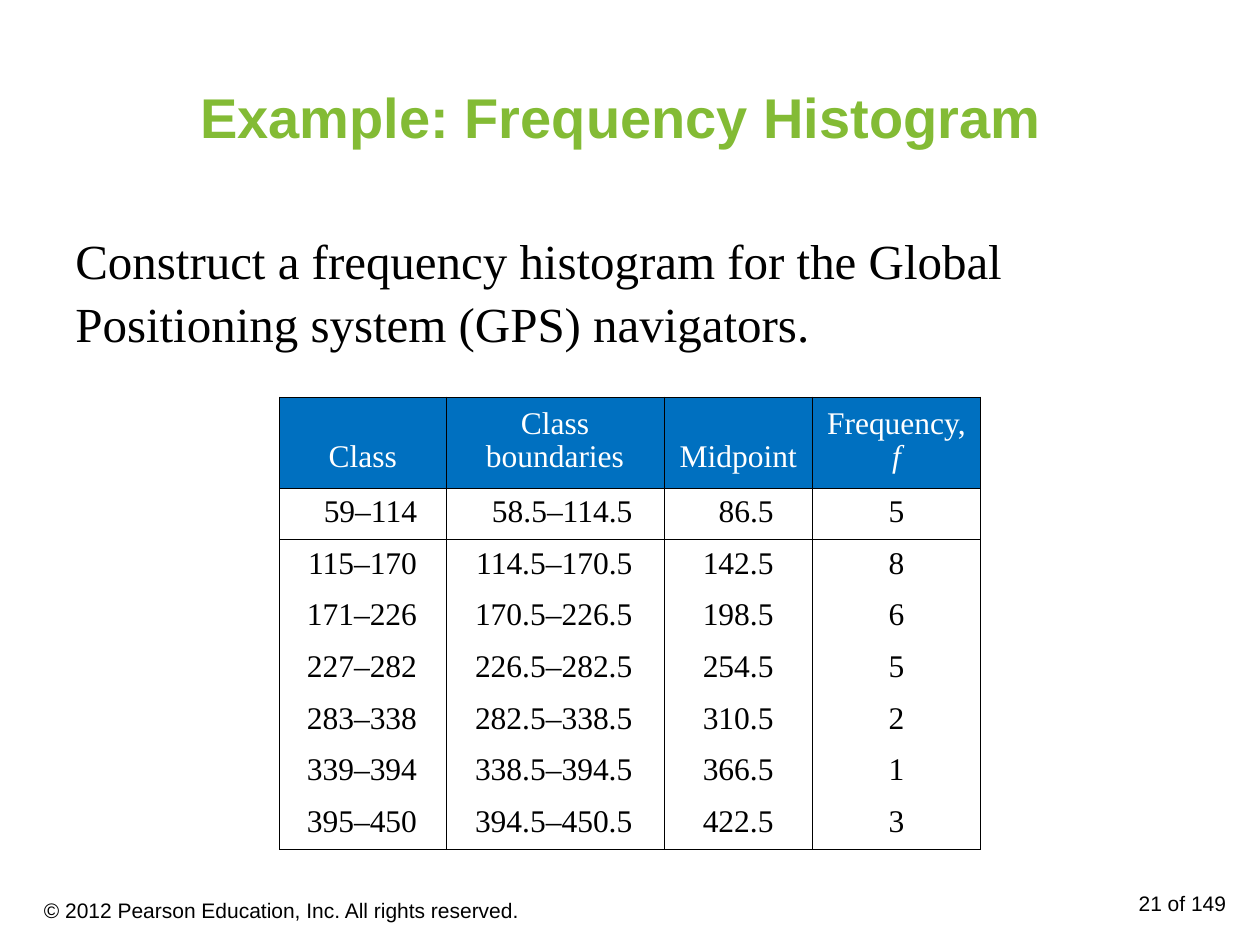
"""Build the frequency histogram example slide with its class table."""
from dataclasses import dataclass

from lxml import etree
from pptx import Presentation
from pptx import util as u
from pptx.dml.color import RGBColor
from pptx.enum import text
from pptx.oxml.ns import qn


@dataclass(frozen=True)
class Theme:
    green: str = "83BB35"
    blue: str = "0070C0"
    black: str = "000000"
    white: str = "FFFFFF"
    sans: str = "Arial"
    serif: str = "Times New Roman"
    title: int = 32
    body: int = 28
    table: int = 18
    footer: int = 12
    rule: float = 0.45


@dataclass(frozen=True)
class Label:
    words: str
    at: tuple[float, float, float, float]
    font: str
    size: int
    color: str
    align: text.PP_ALIGN = text.PP_ALIGN.LEFT
    anchor: text.MSO_ANCHOR = text.MSO_ANCHOR.TOP
    right: float = 0.1
    bold: bool = False
    spacing: float = 1.0


@dataclass(frozen=True)
class Column:
    heading: str
    width: float
    values: tuple[str, ...]
    align: text.PP_ALIGN = text.PP_ALIGN.RIGHT
    right: float = 0.1
    symbol: str = ""


THEME = Theme()
PLAIN_TABLE = "{2D5ABB26-0587-4C30-8999-92F81FD0307C}"
TABLE_LEFT, TABLE_TOP = 2.22, 3.15
HEADER_HEIGHT, ROW_HEIGHT = 0.7, 0.41

LABELS = (
    Label("Example: Frequency Histogram", (0.5, 0.3, 9, 1.25), THEME.sans, THEME.title,
          THEME.green, text.PP_ALIGN.CENTER, text.MSO_ANCHOR.MIDDLE, right=0.24, bold=True),
    Label("Construct a frequency histogram for the Global Positioning system (GPS) navigators.",
          (0.5, 1.75, 9, 1.09), THEME.serif, THEME.body, THEME.black, spacing=1.07),
    Label("21 of 149", (7.5, 7.02, 2.33, 0.4), THEME.sans, THEME.footer, THEME.black,
          text.PP_ALIGN.RIGHT),
    Label("© 2012 Pearson Education, Inc. All rights reserved.", (0.25, 7.02, 4.75, 0.4),
          THEME.sans, THEME.footer, THEME.black, anchor=text.MSO_ANCHOR.MIDDLE),
)

COLUMNS = (
    Column("Class", 1.32, ("59–114", "115–170", "171–226", "227–282", "283–338", "339–394",
                           "395–450"), right=0.23),
    Column("Class boundaries", 1.73,
           ("58.5–114.5", "114.5–170.5", "170.5–226.5", "226.5–282.5", "282.5–338.5",
            "338.5–394.5", "394.5–450.5"), right=0.25),
    Column("Midpoint", 1.18, ("86.5", "142.5", "198.5", "254.5", "310.5", "366.5", "422.5"),
           right=0.31),
    Column("Frequency, ", 1.33, ("5", "8", "6", "5", "2", "1", "3"), text.PP_ALIGN.CENTER,
           symbol="f"),
)


def apply(target: object, values: dict[str, object]) -> None:
    """Set each named attribute on the target."""
    for name, value in values.items():
        setattr(target, name, value)


def add_span(para, words: str, font: str, size: int, color: str, **extra: bool) -> None:
    """Append formatted text to a paragraph."""
    span = para.add_run()
    span.text = words
    apply(span.font, {"name": font, "size": u.Pt(size), **extra})
    span.font.color.rgb = RGBColor.from_string(color)


def add_label(page, label: Label) -> None:
    """Draw one text box."""
    frame = page.shapes.add_textbox(*map(u.Inches, label.at)).text_frame
    apply(frame, {"word_wrap": True, "vertical_anchor": label.anchor,
                  "margin_right": u.Inches(label.right)})
    para = frame.paragraphs[0]
    apply(para, {"alignment": label.align, "line_spacing": label.spacing})
    add_span(para, label.words, label.font, label.size, label.color, bold=label.bold)


def add_borders(cell, sides: str) -> None:
    """Rule the given sides of a table cell."""
    properties = cell._tc.get_or_add_tcPr()
    for side in sides:
        line = etree.SubElement(properties, qn(f"a:ln{side}"), w=str(u.Pt(THEME.rule)))
        fill = etree.SubElement(line, qn("a:solidFill"))
        etree.SubElement(fill, qn("a:srgbClr"), val=THEME.black)


def fill_heading(cell, column: Column) -> None:
    """Write a column heading."""
    add_borders(cell, "LRTB")
    cell.fill.solid()
    cell.fill.fore_color.rgb = RGBColor.from_string(THEME.blue)
    apply(cell, {"vertical_anchor": text.MSO_ANCHOR.BOTTOM, "margin_bottom": u.Inches(0.11)})
    para = cell.text_frame.paragraphs[0]
    apply(para, {"alignment": text.PP_ALIGN.CENTER, "line_spacing": 0.94})
    add_span(para, column.heading, THEME.serif, THEME.table, THEME.white)
    if column.symbol:
        add_span(para, column.symbol, THEME.serif, THEME.table, THEME.white, italic=True)


def fill_value(cell, column: Column, value: str, sides: str) -> None:
    """Write one value of a column."""
    add_borders(cell, sides)
    cell.fill.background()
    cell.margin_right = u.Inches(column.right)
    para = cell.text_frame.paragraphs[0]
    para.alignment = column.align
    add_span(para, value, THEME.serif, THEME.table, THEME.black)


def add_class_table(page, columns: tuple[Column, ...]) -> None:
    """Draw the table of classes and frequencies."""
    count = len(columns[0].values)
    size = (sum(column.width for column in columns), HEADER_HEIGHT + count * ROW_HEIGHT)
    frame = page.shapes.add_table(count + 1, len(columns),
                                  *map(u.Inches, (TABLE_LEFT, TABLE_TOP, *size)))
    table = frame.table
    table.horz_banding = False
    table._tbl.tblPr.find(qn("a:tableStyleId")).text = PLAIN_TABLE
    for index, row in enumerate(table.rows):
        row.height = u.Inches(ROW_HEIGHT if index else HEADER_HEIGHT)
    for place, column in enumerate(columns):
        table.columns[place].width = u.Inches(column.width)
        fill_heading(table.cell(0, place), column)
        for index, value in enumerate(column.values, start=1):
            sides = {1: "LRT", count: "LRB"}.get(index, "LR")
            fill_value(table.cell(index, place), column, value, sides)


def main() -> None:
    """Build and save the deck."""
    deck = Presentation()
    apply(deck, {"slide_width": u.Inches(10), "slide_height": u.Inches(7.5)})
    page = deck.slides.add_slide(deck.slide_layouts[6])
    for label in LABELS:
        add_label(page, label)
    add_class_table(page, COLUMNS)
    deck.save("out.pptx")


if __name__ == "__main__":
    main()
